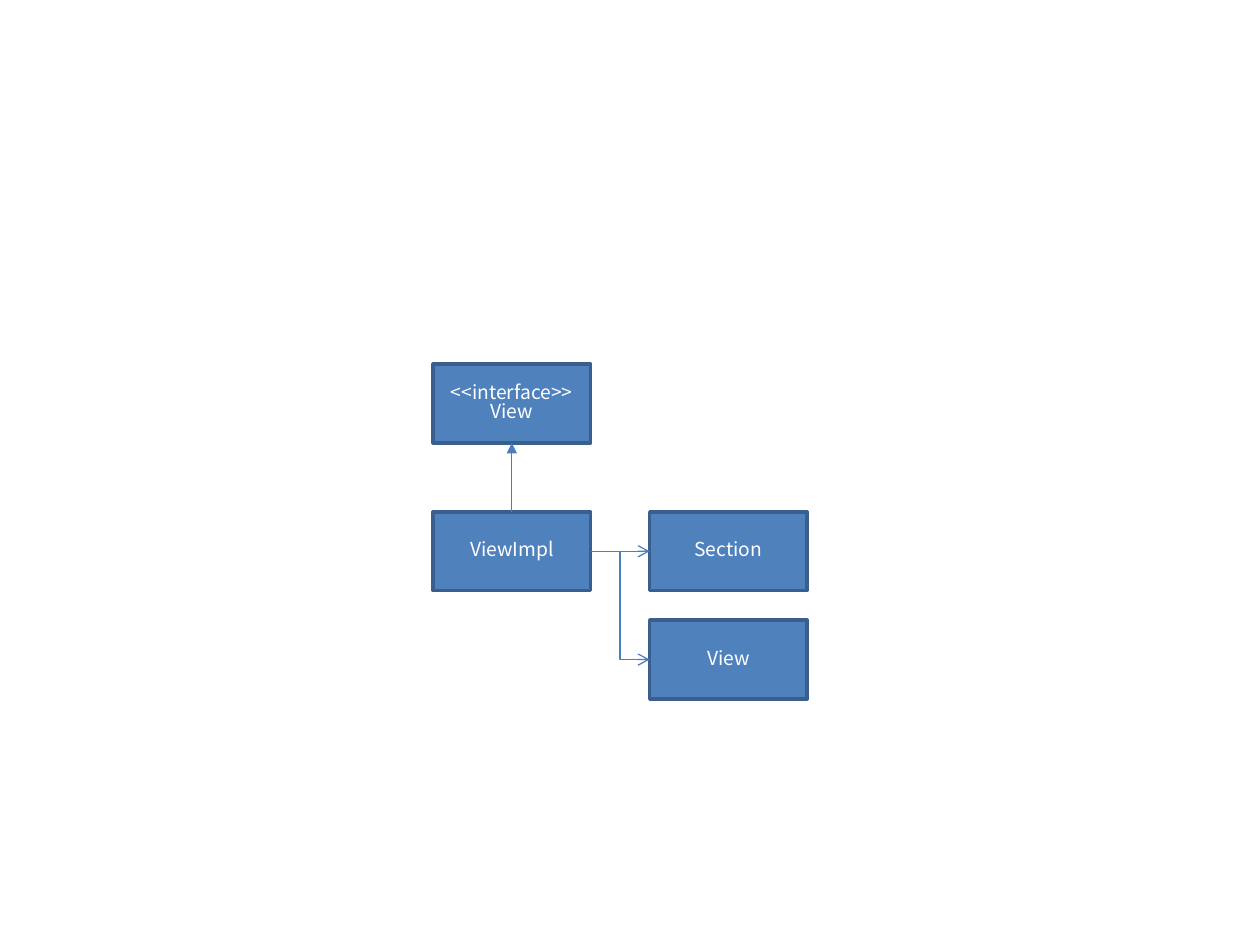
import pptx
import pptx.util
import pptx.dml.color
import pptx.enum.shapes
import pptx.enum.text
import pptx.oxml.ns
from lxml import etree

SLIDE_WIDTH, SLIDE_HEIGHT = 10, 7.5
GRID_COLUMNS = 64
CELL = SLIDE_WIDTH / GRID_COLUMNS
BOX_COLUMNS, BOX_ROWS = 8, 4
TOP, RIGHT, BOTTOM, LEFT = 0, 3, 2, 1
FONT = "Noto Sans CJK KR"


def cells(count):
    return pptx.util.Inches(count * CELL)


def color(value):
    return pptx.dml.color.RGBColor.from_string(value)


def add_class_box(slide, column, row, lines):
    shape = slide.shapes.add_shape(
        pptx.enum.shapes.MSO_SHAPE.RECTANGLE,
        cells(column), cells(row), cells(BOX_COLUMNS), cells(BOX_ROWS))
    shape.shadow.inherit = False
    shape.fill.solid()
    shape.fill.fore_color.rgb = color("4F81BD")
    shape.line.color.rgb = color("3A5F8C")
    shape.line.width = pptx.util.Pt(2)
    frame = shape.text_frame
    frame.word_wrap = True
    frame.vertical_anchor = pptx.enum.text.MSO_ANCHOR.MIDDLE
    frame.text = "\n".join(lines)
    for paragraph in frame.paragraphs:
        paragraph.alignment = pptx.enum.text.PP_ALIGN.CENTER
        paragraph.line_spacing = 0.82
        paragraph.font.name = FONT
        paragraph.font.size = pptx.util.Pt(11)
        paragraph.font.color.rgb = color("FFFFFF")
    return shape


def add_arrow(slide, kind, source, source_side, target, target_side, head):
    connector = slide.shapes.add_connector(kind, 0, 0, 0, 0)
    connector.begin_connect(source, source_side)
    connector.end_connect(target, target_side)
    connector.line.color.rgb = color("4B7EBC")
    connector.line.width = pptx.util.Pt(0.75)
    qualified = pptx.oxml.ns.qn
    etree.SubElement(connector.line._get_or_add_ln(), qualified("a:tailEnd"), type=head)
    etree.SubElement(connector._element.spPr, qualified("a:effectLst"))


def add_class_diagram(slide, column, row):
    next_column = column + 11
    implementation_row = row + 7.5
    interface = add_class_box(slide, column, row, ["<<interface>>", "View"])
    implementation = add_class_box(slide, column, implementation_row, ["ViewImpl"])
    kinds = pptx.enum.shapes.MSO_CONNECTOR
    add_arrow(slide, kinds.STRAIGHT, implementation, TOP, interface, BOTTOM, "triangle")
    for index, name in enumerate(["Section", "View"]):
        part = add_class_box(slide, next_column, implementation_row + index * 5.5, [name])
        add_arrow(slide, kinds.ELBOW, implementation, RIGHT, part, LEFT, "arrow")


presentation = pptx.Presentation()
presentation.slide_width = pptx.util.Inches(SLIDE_WIDTH)
presentation.slide_height = pptx.util.Inches(SLIDE_HEIGHT)
slide = presentation.slides.add_slide(presentation.slide_layouts[6])
add_class_diagram(slide, 22, 18.5)
presentation.save("out.pptx")
